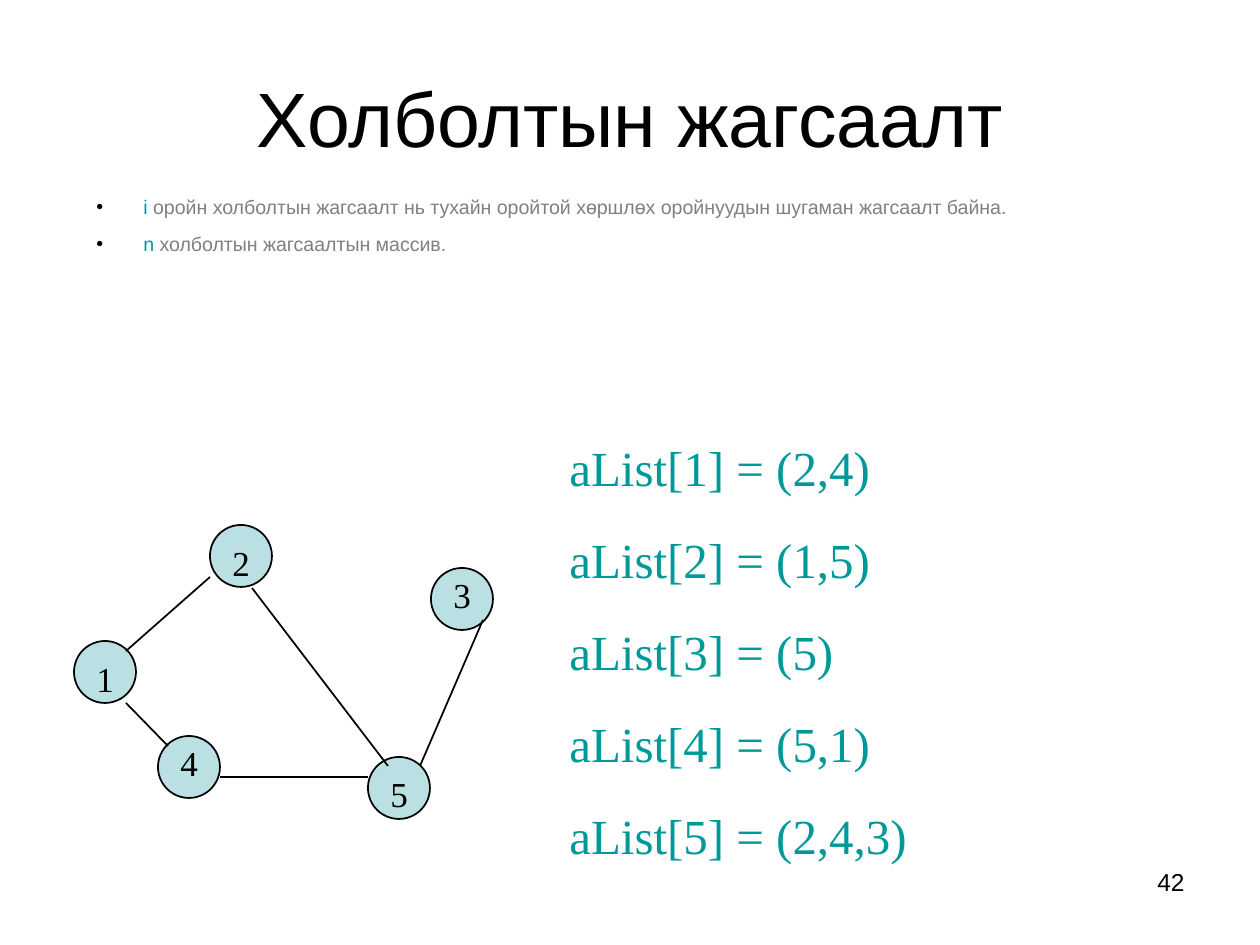
from dataclasses import dataclass

from lxml import etree
from pptx import Presentation
from pptx.dml.color import RGBColor
from pptx.enum.shapes import MSO_CONNECTOR, MSO_SHAPE
from pptx.enum.text import MSO_ANCHOR, PP_ALIGN
from pptx.oxml.ns import qn
from pptx.util import Pt

STRAIGHT = MSO_CONNECTOR.STRAIGHT
ELLIPSE = MSO_SHAPE.OVAL
MIDDLE = MSO_ANCHOR.MIDDLE
LEFT, CENTER, RIGHT = PP_ALIGN.LEFT, PP_ALIGN.CENTER, PP_ALIGN.RIGHT
EMU_PER_PX = 914400 / 126


@dataclass(frozen=True)
class Theme:
    """Colours, fonts and type sizes of the slide."""

    black: str = "000000"
    grey: str = "808080"
    teal: str = "009999"
    node: str = "BBE0E3"
    sans: str = "Arial"
    serif: str = "Times New Roman"
    title: float = 44
    body: float = 11.2
    label: float = 20
    listing: float = 28
    number: float = 14
    line: float = 1


def px(length):
    """Turn a length in px into EMU."""
    return round(length * EMU_PER_PX)


class SlideBuilder:
    """Draws styled elements on one slide."""

    def __init__(self, slide, theme):
        """Keep the slide and its theme."""
        self.slide = slide
        self.theme = theme

    def style(self, span, size, font, color):
        """Format one run."""
        span.font.size = Pt(size)
        span.font.name = font
        span.font.color.rgb = RGBColor.from_string(color)

    def title(self, text, left, top, width, height):
        """Place and format the title placeholder."""
        box = self.slide.shapes.title
        box.left, box.top, box.width, box.height = map(px, (left, top, width, height))
        frame = box.text_frame
        frame.text = text
        frame.vertical_anchor = MIDDLE
        para = frame.paragraphs[0]
        para.alignment = CENTER
        self.style(para.runs[0], self.theme.title, self.theme.sans, self.theme.black)

    def frame(self, left, top, width, height):
        """Add a wrapping text box and return its frame."""
        box = self.slide.shapes.add_textbox(*map(px, (left, top, width, height)))
        box.text_frame.word_wrap = True
        return box.text_frame

    def text(self, lines, area, size, font, color, align=LEFT, gap=0):
        """Add lines of text in a single style."""
        frame = self.frame(*area)
        frame.text = "\n".join(lines)
        for index, para in enumerate(frame.paragraphs):
            para.alignment = align
            para.space_before = Pt(gap if index else 0)
            self.style(para.runs[0], size, font, color)

    def bullets(self, items, area, indent, gap):
        """Add bulleted lines, each with a highlighted first word."""
        frame = self.frame(*area)
        for index, (term, rest) in enumerate(items):
            para = frame.add_paragraph() if index else frame.paragraphs[0]
            para.space_before = Pt(gap if index else 0)
            properties = para._p.get_or_add_pPr()
            properties.set("marL", str(px(indent)))
            properties.set("indent", str(-px(indent)))
            color = etree.SubElement(properties, qn("a:buClr"))
            etree.SubElement(color, qn("a:srgbClr"), val=self.theme.black)
            etree.SubElement(properties, qn("a:buFont"), typeface=self.theme.sans)
            etree.SubElement(properties, qn("a:buChar"), char="•")
            for words, shade in ((term, self.theme.teal), (rest, self.theme.grey)):
                span = para.add_run()
                span.text = words
                self.style(span, self.theme.body, self.theme.sans, shade)

    def node(self, left, top, size):
        """Add one graph vertex."""
        circle = self.slide.shapes.add_shape(ELLIPSE, *map(px, (left, top, size, size)))
        circle.shadow.inherit = False
        circle.fill.solid()
        circle.fill.fore_color.rgb = RGBColor.from_string(self.theme.node)
        self.outline(circle)

    def edge(self, *ends):
        """Add one graph edge."""
        line = self.slide.shapes.add_connector(STRAIGHT, *map(px, ends))
        self.outline(line)
        etree.SubElement(line._element.spPr, qn("a:effectLst"))

    def outline(self, shape):
        """Give a shape or connector the thin black line."""
        shape.line.color.rgb = RGBColor.from_string(self.theme.black)
        shape.line.width = Pt(self.theme.line)


BULLETS = [
    ("i ", "оройн холболтын жагсаалт нь тухайн оройтой хөршлөх оройнуудын шугаман жагсаалт байна."),
    ("n ", "холболтын жагсаалтын массив."),
]
NODE_SIZE = 62
NODES = {1: (74, 641), 2: (210, 525), 3: (431, 568), 4: (158, 736), 5: (368, 757)}
LABEL_TOPS = {1: 651, 2: 535, 3: 567, 4: 735, 5: 766}
EDGES = [
    (210, 577, 126, 651),
    (252, 588, 388, 766),
    (126, 703, 168, 746),
    (483, 620, 420, 766),
    (220, 777, 368, 777),
]
NEIGHBOURS = {1: "2,4", 2: "1,5", 3: "5", 4: "5,1", 5: "2,4,3"}


def main():
    """Build the adjacency list slide."""
    deck = Presentation()
    deck.slide_width, deck.slide_height = px(1260), px(945)
    theme = Theme()
    page = SlideBuilder(deck.slides.add_slide(deck.slide_layouts[5]), theme)

    page.title("Холболтын жагсаалт", 63, 38, 1134, 158)
    page.bullets(BULLETS, (84, 189, 1071, 73), indent=47, gap=7.5)

    for left, top in NODES.values():
        page.node(left, top, NODE_SIZE)
    for ends in EDGES:
        page.edge(*ends)
    for number, (left, top) in NODES.items():
        area = (left + 10, LABEL_TOPS[number], 43, 54)
        page.text([str(number)], area, theme.label, theme.serif, theme.black)

    lines = [f"aList[{number}] = ({near})" for number, near in NEIGHBOURS.items()]
    page.text(lines, (557, 431, 662, 430), theme.listing, theme.serif, theme.teal, gap=19)
    page.text(["42"], (903, 861, 294, 66), theme.number, theme.sans, theme.black, align=RIGHT)
    deck.save("out.pptx")


if __name__ == "__main__":
    main()
